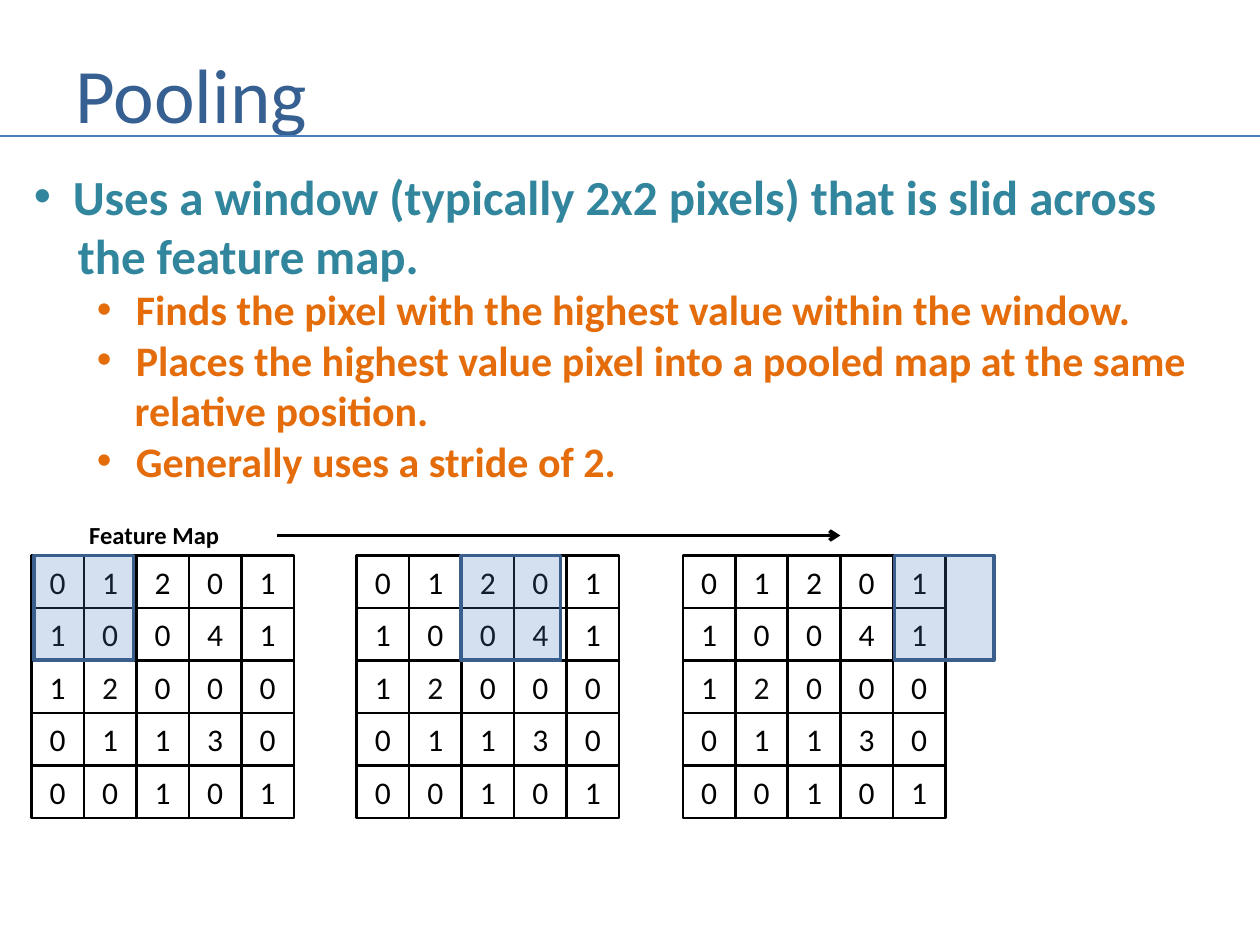
"""Build a slide explaining pooling over a feature map."""
from dataclasses import dataclass

from lxml import etree
from pptx import Presentation
from pptx.dml.color import RGBColor
from pptx.enum.shapes import MSO_CONNECTOR, MSO_SHAPE
from pptx.enum.text import MSO_ANCHOR, PP_ALIGN
from pptx.oxml.ns import qn
from pptx.util import Inches, Pt

RECTANGLE = MSO_SHAPE.RECTANGLE
STRAIGHT = MSO_CONNECTOR.STRAIGHT
MIDDLE = MSO_ANCHOR.MIDDLE
CENTER = PP_ALIGN.CENTER

FONT = "Calibri"
COLORS = {
    "title": "376092",
    "rule": "4B7EBC",
    "main": "31859C",
    "detail": "E46C0A",
    "ink": "000000",
    "soft_ink": "0D0D0D",
    "window": "4F81BD",
    "window_edge": "3A5F8C",
}
FEATURE_MAP = ("01201", "10041", "12000", "01130", "00101")
SOFT_CELL = (2, 1)
CELL = 0.4167
MAP_TOP = 4.41
WINDOW_SIZE = (0.79, 0.83)


@dataclass(frozen=True)
class TextLine:
    text: str
    size: int
    color: str
    margin: float = 0
    bold: bool = True
    hanging: float = 0


@dataclass(frozen=True)
class PoolingStep:
    map_left: float
    window_left: float


BODY = (
    TextLine("Uses a window (typically 2x2 pixels) that is slid across", 28, "main", 0.31, hanging=0.31),
    TextLine("the feature map.", 28, "main", 0.35),
    TextLine("Finds the pixel with the highest value within the window.", 24, "detail", 0.81, hanging=0.31),
    TextLine("Places the highest value pixel into a pooled map at the same", 24, "detail", 0.81, hanging=0.31),
    TextLine("relative position.", 24, "detail", 0.8),
    TextLine("Generally uses a stride of 2.", 24, "detail", 0.81, hanging=0.31),
)
STEPS = (PoolingStep(0.25, 0.27), PoolingStep(2.83, 3.66), PoolingStep(5.42, 7.1))


def rgb(name: str) -> RGBColor:
    return RGBColor.from_string(COLORS[name])


def write_line(paragraph, line: TextLine) -> None:
    paragraph.text = line.text
    properties = paragraph._p.get_or_add_pPr()
    if line.margin:
        properties.set("marL", str(Inches(line.margin)))
        properties.set("indent", str(-Inches(line.hanging)))
    if line.hanging:
        bullet_color = etree.SubElement(properties, qn("a:buClr"))
        etree.SubElement(bullet_color, qn("a:srgbClr"), val=COLORS[line.color])
        etree.SubElement(properties, qn("a:buFont"), typeface="Arial")
        etree.SubElement(properties, qn("a:buChar"), char="•")
    font = paragraph.font
    font.name = FONT
    font.size = Pt(line.size)
    font.bold = line.bold
    font.color.rgb = rgb(line.color)


def add_text(slide, left: float, top: float, width: float, height: float,
             lines: tuple[TextLine, ...], wrap: bool = False):
    box = slide.shapes.add_textbox(Inches(left), Inches(top), Inches(width), Inches(height))
    frame = box.text_frame
    frame.word_wrap = wrap
    for index, line in enumerate(lines):
        write_line(frame.add_paragraph() if index else frame.paragraphs[0], line)
    return frame


def add_line(slide, left: float, right: float, y: float, color: str, width: float):
    connector = slide.shapes.add_connector(STRAIGHT, Inches(left), Inches(y), Inches(right), Inches(y))
    connector.line.color.rgb = rgb(color)
    connector.line.width = Pt(width)
    etree.SubElement(connector._element.spPr, qn("a:effectLst"))
    return connector


def add_box(slide, left: float, top: float, width: float, height: float, color: str, weight: float):
    shape = slide.shapes.add_shape(RECTANGLE, Inches(left), Inches(top), Inches(width), Inches(height))
    shape.shadow.inherit = False
    shape.fill.background()
    shape.line.color.rgb = rgb(color)
    shape.line.width = Pt(weight)
    return shape


def add_step(slide, step: PoolingStep) -> None:
    for row, values in enumerate(FEATURE_MAP):
        for column, value in enumerate(values):
            cell = add_box(slide, step.map_left + column * CELL, MAP_TOP + row * CELL, CELL, CELL, "ink", 1.5)
            color = "soft_ink" if (row, column) == SOFT_CELL else "ink"
            frame = cell.text_frame
            frame.vertical_anchor = MIDDLE
            write_line(frame.paragraphs[0], TextLine(value, 18, color, bold=False))
            frame.paragraphs[0].alignment = CENTER
    window = add_box(slide, step.window_left, MAP_TOP, *WINDOW_SIZE, "window_edge", 2)
    window.fill.solid()
    window.fill.fore_color.rgb = rgb("window")
    fill_color = window._element.spPr.find(qn("a:solidFill")).find(qn("a:srgbClr"))
    etree.SubElement(fill_color, qn("a:alpha"), val="24000")


def main() -> None:
    presentation = Presentation()
    presentation.slide_width = Inches(10)
    presentation.slide_height = Inches(7.5)
    slide = presentation.slides.add_slide(presentation.slide_layouts[6])

    title = TextLine("Pooling", 44, "title", bold=False)
    add_text(slide, 0.5, 0.3, 9.08, 0.87, (title,), wrap=True).vertical_anchor = MIDDLE
    add_line(slide, 0, 10, 1.08, "rule", 1.5)
    add_text(slide, 0.17, 1.27, 9.44, 2.66, BODY)
    add_text(slide, 0.61, 4.08, 1.24, 0.34, (TextLine("Feature Map", 14, "ink"),))
    for step in STEPS:
        add_step(slide, step)
    arrow = add_line(slide, 2.2, 6.67, 4.25, "ink", 2)
    etree.SubElement(arrow.line._get_or_add_ln(), qn("a:tailEnd"), type="arrow")

    presentation.save("out.pptx")


main()
